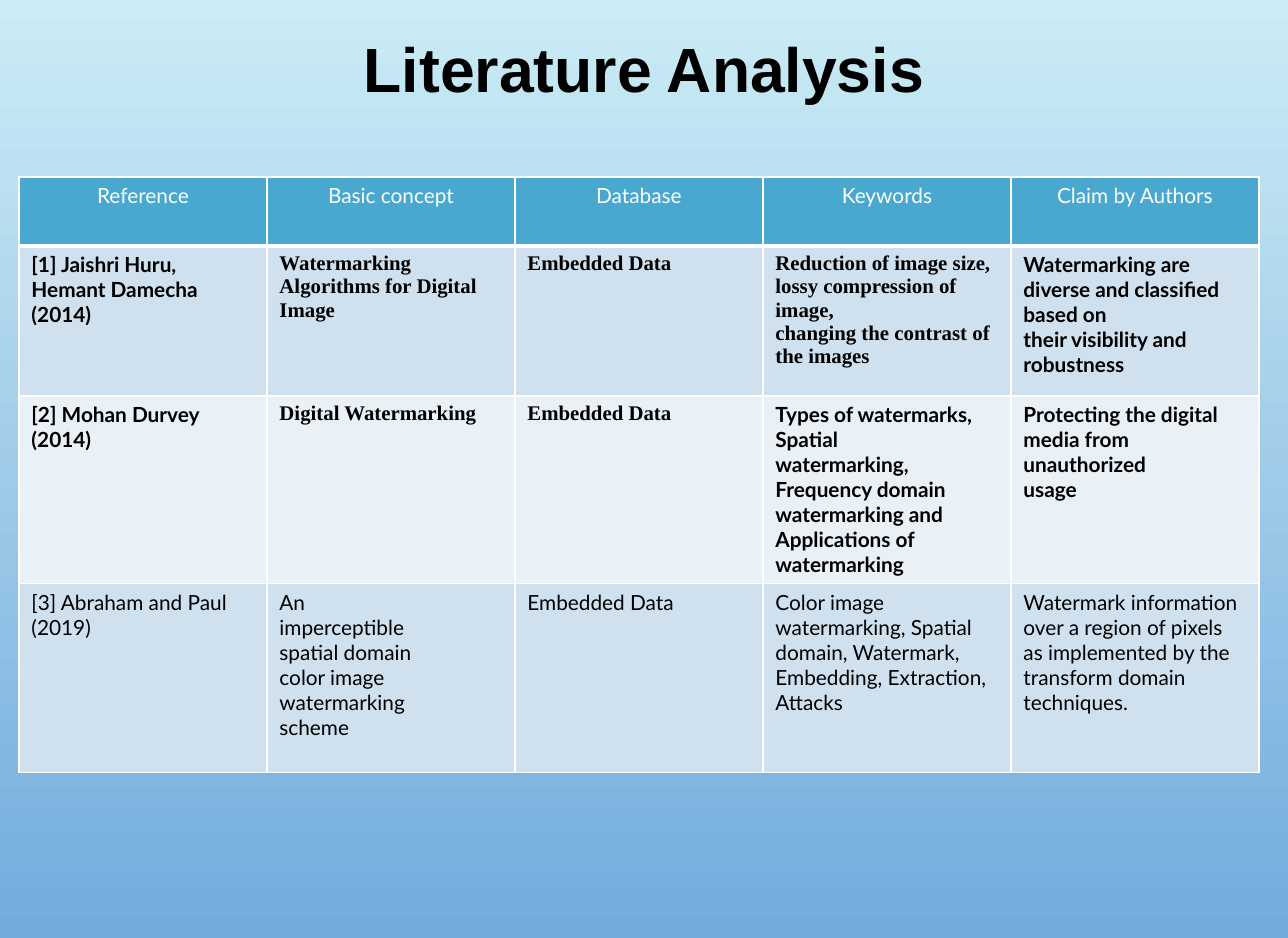
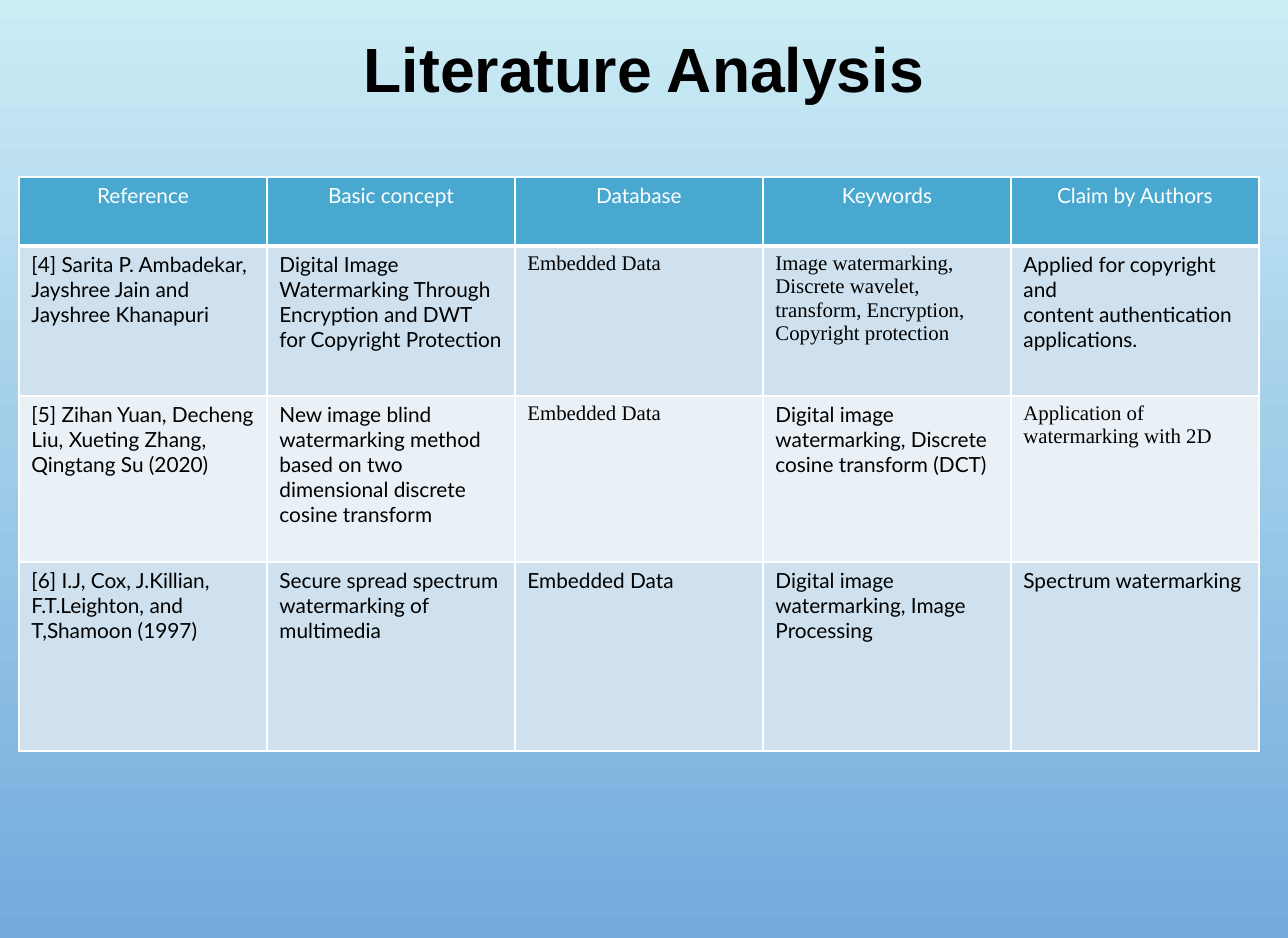
from pptx import Presentation
from pptx.dml.color import RGBColor
from pptx.enum.text import MSO_ANCHOR, PP_ALIGN
from pptx.oxml import parse_xml
from pptx.oxml.ns import nsdecls

SERIF = "Times New Roman"
HEADS = ["Reference", "Basic concept", "Database", "Keywords", "Claim by Authors"]


def px(n):
    return round(n * 914400 / 125)


def tint(code):
    return RGBColor.from_string(code)


def write(frame, text, size=12, font="Lato", color="000000", bold=False, align=PP_ALIGN.LEFT):
    frame.word_wrap = True
    for i, line in enumerate(text.split("\n")):
        para = frame.paragraphs[0] if i == 0 else frame.add_paragraph()
        para.alignment = align
        run = para.add_run()
        run.text = line
        run.font.size = size * 12700
        run.font.name = font
        run.font.bold = bold
        run.font.color.rgb = tint(color)


class Deck:
    sky = ("CBECF5", "73ABDD")
    head = "48A8D0"
    bands = ("CFE1EE", "E9F1F7")
    white = "FFFFFF"
    wide, high = 1288, 938
    rows = (69, 150, 166, 189)
    col = 248

    def __init__(self):
        self.prs = Presentation()
        self.prs.slide_width = px(self.wide)
        self.prs.slide_height = px(self.high)

    def page(self, title):
        self.slide = self.prs.slides.add_slide(self.prs.slide_layouts[6])
        fill = self.slide.background.fill
        fill.gradient()
        fill.gradient_angle = 270
        for stop, color, place in zip(fill.gradient_stops, self.sky, (0, 1)):
            stop.color.rgb = tint(color)
            stop.position = place
        box = self.slide.shapes.add_textbox(0, 0, px(self.wide), px(135))
        box.text_frame.vertical_anchor = MSO_ANCHOR.MIDDLE
        write(box.text_frame, title, size=36, font="Arial", bold=True, align=PP_ALIGN.CENTER)

    def edge(self, cell, side, width):
        cell._tc.get_or_add_tcPr().append(parse_xml(
            f'<a:ln{side} {nsdecls("a")} w="{width * 12700}"><a:solidFill>'
            f'<a:srgbClr val="{self.white}"/></a:solidFill></a:ln{side}>'))

    def cell(self, cell, text, fill, base=1, **style):
        for side, width in zip("LRTB", (1, 1, 1, base)):
            self.edge(cell, side, width)
        cell.fill.solid()
        cell.fill.fore_color.rgb = tint(fill)
        write(cell.text_frame, text, **style)

    def table(self, body, serif, bold=()):
        grid = self.slide.shapes.add_table(
            len(body) + 1, len(HEADS), px(19), px(177),
            px(self.col * len(HEADS)), px(sum(self.rows))).table
        grid.horz_banding = False
        for col in grid.columns:
            col.width = px(self.col)
        for row, tall in zip(grid.rows, self.rows):
            row.height = px(tall)
        for c, text in enumerate(HEADS):
            self.cell(grid.cell(0, c), text, self.head, base=3,
                      color=self.white, align=PP_ALIGN.CENTER)
        for r, line in enumerate(body, 1):
            for c, text in enumerate(line):
                self.cell(grid.cell(r, c), text, self.bands[(r - 1) % 2],
                          font=SERIF if (r, c) in serif else "Lato", bold=r in bold)


early = [
    ["[1] Jaishri Huru, Hemant Damecha (2014)",
     "Watermarking Algorithms for Digital Image",
     "Embedded Data",
     "Reduction of image size, lossy compression of image,\nchanging the contrast of the images",
     "Watermarking are diverse and classified based on\ntheir visibility and robustness"],
    ["[2] Mohan Durvey (2014)",
     "Digital Watermarking",
     "Embedded Data",
     "Types of watermarks, Spatial\nwatermarking, Frequency domain watermarking and\n"
     "Applications of watermarking",
     "Protecting the digital media from unauthorized\nusage"],
    ["[3] Abraham and Paul (2019)",
     "An\nimperceptible\nspatial domain\ncolor image\nwatermarking\nscheme",
     "Embedded Data",
     "Color image watermarking, Spatial domain, Watermark, Embedding, Extraction, Attacks",
     "Watermark information over a region of pixels as implemented by the "
     "transform domain techniques."],
]
later = [
    ["[4] Sarita P. Ambadekar, Jayshree Jain and Jayshree Khanapuri",
     "Digital Image Watermarking Through Encryption and DWT for Copyright Protection",
     "Embedded Data",
     "Image watermarking, Discrete wavelet, transform, Encryption, Copyright protection",
     "Applied for copyright and\ncontent authentication applications."],
    ["[5] Zihan Yuan, Decheng Liu, Xueting Zhang, Qingtang Su (2020)",
     "New image blind watermarking method based on two dimensional discrete cosine transform",
     "Embedded Data",
     "Digital image watermarking, Discrete cosine transform (DCT)",
     "Application of watermarking with 2D"],
    ["[6] I.J, Cox, J.Killian, F.T.Leighton, and T,Shamoon (1997)",
     "Secure spread spectrum watermarking of multimedia",
     "Embedded Data",
     "Digital image watermarking, Image Processing",
     "Spectrum watermarking"],
]

deck = Deck()
deck.page("Literature Analysis")
deck.table(early, serif={(1, 1), (1, 2), (1, 3), (2, 1), (2, 2)}, bold=(1, 2))
deck.page("Literature Analysis")
deck.table(later, serif={(1, 2), (1, 3), (2, 2), (2, 4)})
deck.prs.save("out.pptx")
